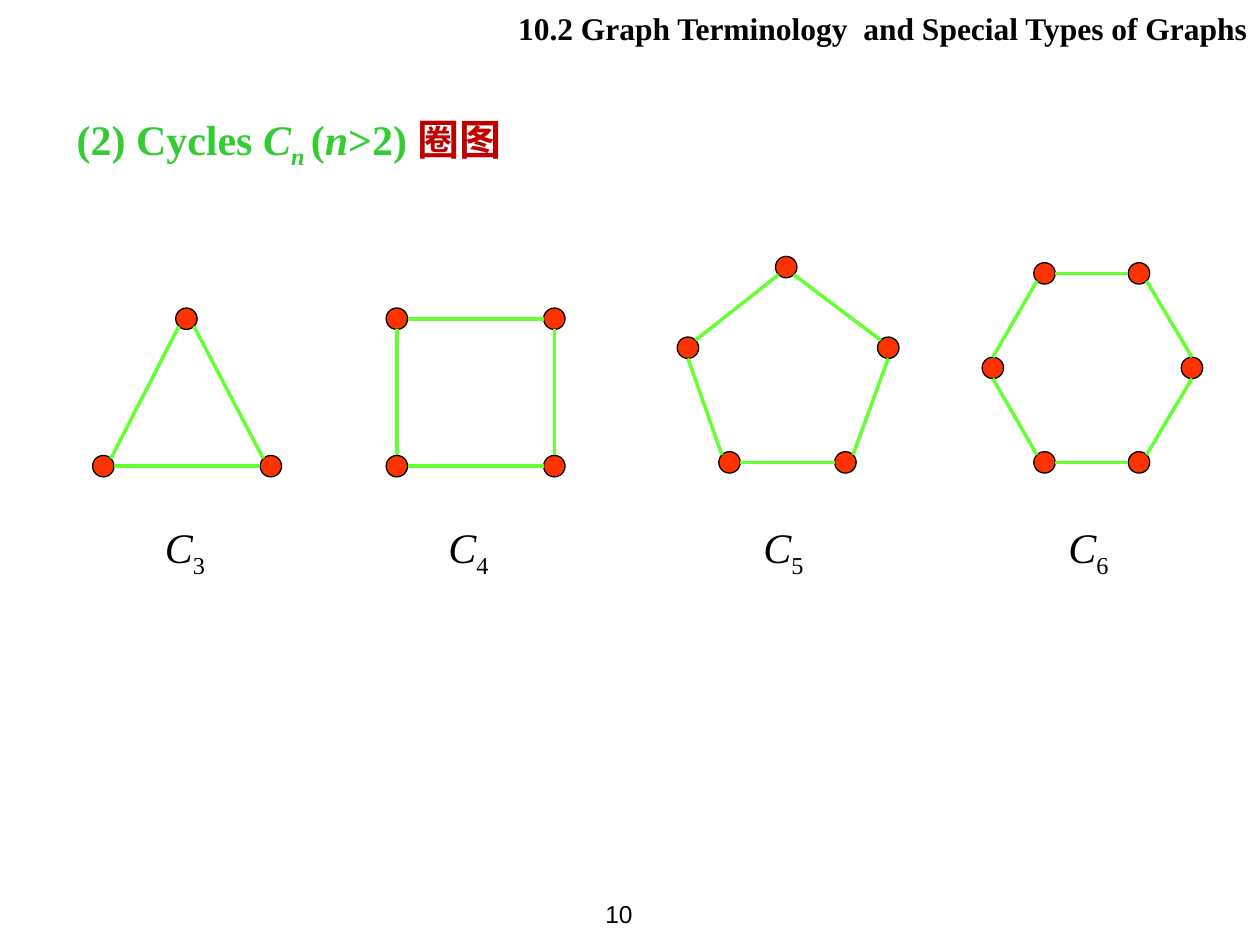
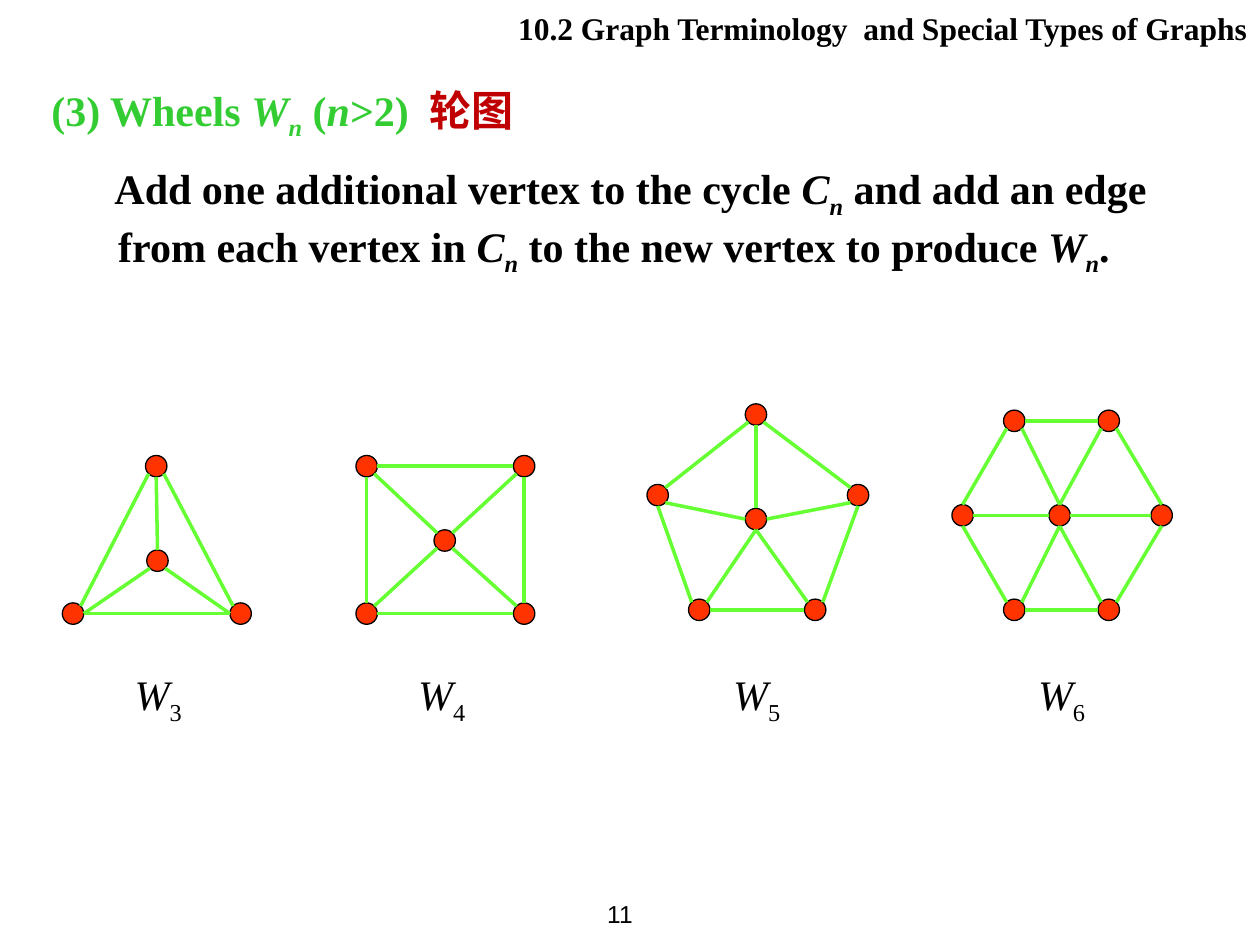
from dataclasses import dataclass
from math import sqrt

from lxml import etree
from pptx import Presentation
from pptx.dml.color import RGBColor
from pptx.enum.shapes import MSO_CONNECTOR, MSO_SHAPE
from pptx.enum.text import MSO_ANCHOR, PP_ALIGN
from pptx.oxml.ns import qn
from pptx.util import Inches, Pt

STRAIGHT = MSO_CONNECTOR.STRAIGHT
CIRCLE = MSO_SHAPE.FLOWCHART_CONNECTOR
LEFT, RIGHT = PP_ALIGN.LEFT, PP_ALIGN.RIGHT
TOP, MIDDLE = MSO_ANCHOR.TOP, MSO_ANCHOR.MIDDLE


@dataclass(frozen=True)
class Theme:
    serif: str = "Times New Roman"
    sans: str = "Arial"
    black: str = "000000"
    heading: str = "33CC33"
    chinese: str = "C00000"
    vertex: str = "FF3300"
    edge: str = "66FF33"
    body_size: int = 24
    header_size: int = 18
    number_size: int = 14
    edge_width: float = 2
    outline_width: float = 0.75


THEME = Theme()

# Content: a run is (text, style, colour); style letters are i = italic, s = subscript
HEADER = "10.2 Graph Terminology  and Special Types of Graphs"
BLACK, GREEN, RED = THEME.black, THEME.heading, THEME.chinese

CYCLE_TITLE = [("(2) Cycles ", "", GREEN), ("C", "i", GREEN), ("n ", "is", GREEN),
               ("(", "", GREEN), ("n", "i", GREEN), (">2) ", "", GREEN), ("圈图", "", RED)]
WHEEL_TITLE = [("(3) Wheels ", "", GREEN), ("W", "i", GREEN), ("n", "is", GREEN),
               (" (", "", GREEN), ("n", "i", GREEN), (">2)  ", "", GREEN), ("轮图", "", RED)]
WHEEL_RULE = [("Add one additional vertex to the cycle ", "", BLACK),
              ("C", "i", BLACK), ("n", "is", BLACK),
              (" and add an edge from each vertex in ", "", BLACK),
              ("C", "i", BLACK), ("n", "is", BLACK),
              (" to the new vertex to produce ", "", BLACK),
              ("W", "i", BLACK), ("n", "is", BLACK), (".", "", BLACK)]

SLIDES = [
    dict(number="10", paragraphs=[CYCLE_TITLE], title_box=(0.51, 0.85, 8.27, 1.11),
         letter="C", label_width=0.75, shift=(0, 0), wheel=False),
    dict(number="11", paragraphs=[WHEEL_TITLE, WHEEL_RULE], title_box=(0.31, 0.62, 9.21, 1.51),
         letter="W", label_width=0.9, shift=(-0.24, 1.17), wheel=True),
]

# Vertices hold centres in inches; an edge is "vertex.side vertex.side"
GRAPHS = [
    dict(label_left=1.21, hub=(1.49, 3.28),
         vertices=dict(a=(0.82, 3.7), b=(2.15, 3.7), c=(1.48, 2.53)),
         rim=["a.ne c.sw", "a.e b.w", "b.nw c.se"],
         spokes=["a.e hub.sw", "b.w hub.se", "hub.n c.s"]),
    dict(label_left=3.46, hub=(3.77, 3.12),
         vertices=dict(a=(3.15, 3.7), b=(4.4, 3.7), c=(4.4, 2.53), d=(3.15, 2.53)),
         rim=["a.n d.s", "d.e c.w", "c.s b.n", "a.e b.w"],
         spokes=["a.ne hub.sw", "hub.nw d.se", "hub.ne c.sw", "hub.se b.nw"]),
    dict(label_left=5.96, hub=(6.24, 2.95),
         vertices=dict(a=(5.79, 3.67), b=(6.71, 3.67), c=(7.05, 2.76),
                       d=(6.24, 2.12), e=(5.46, 2.76)),
         rim=["e.s a.nw", "a.e b.w", "b.ne c.s", "c.nw d.se", "e.ne d.sw"],
         spokes=["a.ne hub.s", "b.nw hub.s", "e.se hub.w", "hub.e c.sw", "hub.n d.s"]),
    dict(label_left=8.38, hub=(8.65, 2.92),
         vertices=dict(a=(8.29, 3.67), b=(9.04, 3.67), c=(9.46, 2.92),
                       d=(9.04, 2.17), e=(8.29, 2.17), f=(7.88, 2.92)),
         rim=["f.s a.nw", "a.e b.w", "b.ne c.s", "c.n d.se", "f.n e.sw", "e.e d.w"],
         spokes=["a.ne hub.s", "b.nw hub.s", "f.e hub.w", "hub.e c.w",
                 "hub.n e.se", "hub.n d.sw"]),
]

# Layout
DIAMETER = 0.17
LABEL_TOP = 4.09
HANGING = 0.53


def add_text(slide, paragraphs, box, *, size=THEME.body_size, font=THEME.serif, bold=False,
             align=LEFT, anchor=TOP, wrap=True, margin=0, indents=(0, 0)):
    """Add a text box; indents gives the first-line indent of each paragraph."""
    frame = slide.shapes.add_textbox(*map(Inches, box)).text_frame
    frame.word_wrap = wrap
    frame.vertical_anchor = anchor
    for index, runs in enumerate(paragraphs):
        paragraph = frame.add_paragraph() if index else frame.paragraphs[0]
        paragraph.alignment = align
        if margin:
            properties = paragraph._p.get_or_add_pPr()
            properties.set("marL", str(Inches(margin)))
            properties.set("indent", str(Inches(indents[index])))
        if index:
            paragraph.space_before = Pt(size / 2)
        for text, style, color in runs:
            run = paragraph.add_run()
            run.text = text
            run.font.name = font
            run.font.size = Pt(size)
            run.font.bold = bold
            run.font.italic = "i" in style
            run.font.color.rgb = RGBColor.from_string(color)
            if "s" in style:
                run._r.get_or_add_rPr().set("baseline", "-25000")


def side_point(center, side):
    """Point of a vertex circle in a compass direction such as n or sw."""
    reach = DIAMETER / 2 / sqrt(len(side))
    x = center[0] + reach * (("e" in side) - ("w" in side))
    y = center[1] + reach * (("s" in side) - ("n" in side))
    return Inches(x), Inches(y)


def add_edge(group, edge, centers):
    ends = [end.split(".") for end in edge.split()]
    start, finish = [side_point(centers[name], side) for name, side in ends]
    connector = group.shapes.add_connector(STRAIGHT, *start, *finish)
    connector.line.color.rgb = RGBColor.from_string(THEME.edge)
    connector.line.width = Pt(THEME.edge_width)
    etree.SubElement(connector._element.spPr, qn("a:effectLst"))


def add_vertex(group, center):
    left, top = [Inches(value - DIAMETER / 2) for value in center]
    vertex = group.shapes.add_shape(CIRCLE, left, top, Inches(DIAMETER), Inches(DIAMETER))
    vertex.shadow.inherit = False
    vertex.fill.solid()
    vertex.fill.fore_color.rgb = RGBColor.from_string(THEME.vertex)
    vertex.line.color.rgb = RGBColor.from_string(THEME.black)
    vertex.line.width = Pt(THEME.outline_width)


def add_graph(slide, graph, shift, wheel):
    vertices, edges = dict(graph["vertices"]), list(graph["rim"])
    if wheel:
        vertices["hub"] = graph["hub"]
        edges += graph["spokes"]
    centers = {name: (x + shift[0], y + shift[1]) for name, (x, y) in vertices.items()}
    group = slide.shapes.add_group_shape()
    for center in centers.values():
        add_vertex(group, center)
    for edge in edges:
        add_edge(group, edge, centers)


def add_slide(presentation, content):
    slide = presentation.slides.add_slide(presentation.slide_layouts[6])
    # Page number, running header and heading
    add_text(slide, [[(content["number"], "", BLACK)]], (4.45, 7, 0.67, 0.5),
             size=THEME.number_size, font=THEME.sans, align=RIGHT, anchor=MIDDLE, wrap=False)
    add_text(slide, [[(HEADER, "", BLACK)]], (3.98, 0.02, 6.02, 0.4),
             size=THEME.header_size, bold=True, align=RIGHT)
    add_text(slide, content["paragraphs"], content["title_box"],
             bold=True, margin=HANGING, indents=(-HANGING, -0.03))
    # Graphs with their labels
    shift = content["shift"]
    for graph in GRAPHS:
        add_graph(slide, graph, shift, content["wheel"])
        order = str(len(graph["vertices"]))
        add_text(slide, [[(content["letter"], "i", BLACK), (order, "s", BLACK)]],
                 (graph["label_left"] + shift[0], LABEL_TOP + shift[1],
                  content["label_width"], 0.5))


def main():
    presentation = Presentation()
    presentation.slide_width, presentation.slide_height = Inches(10), Inches(7.5)
    for content in SLIDES:
        add_slide(presentation, content)
    presentation.save("out.pptx")


if __name__ == "__main__":
    main()
